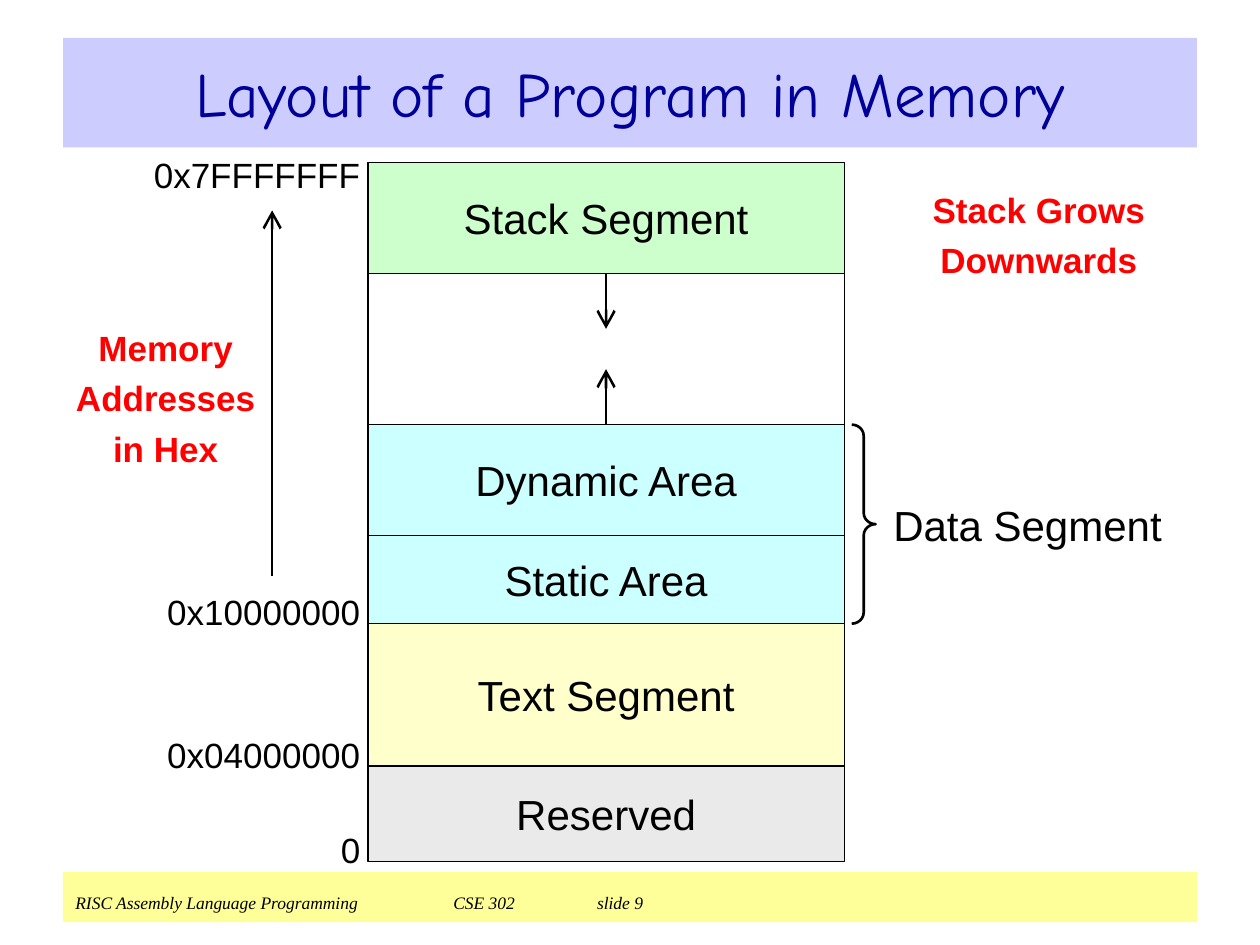
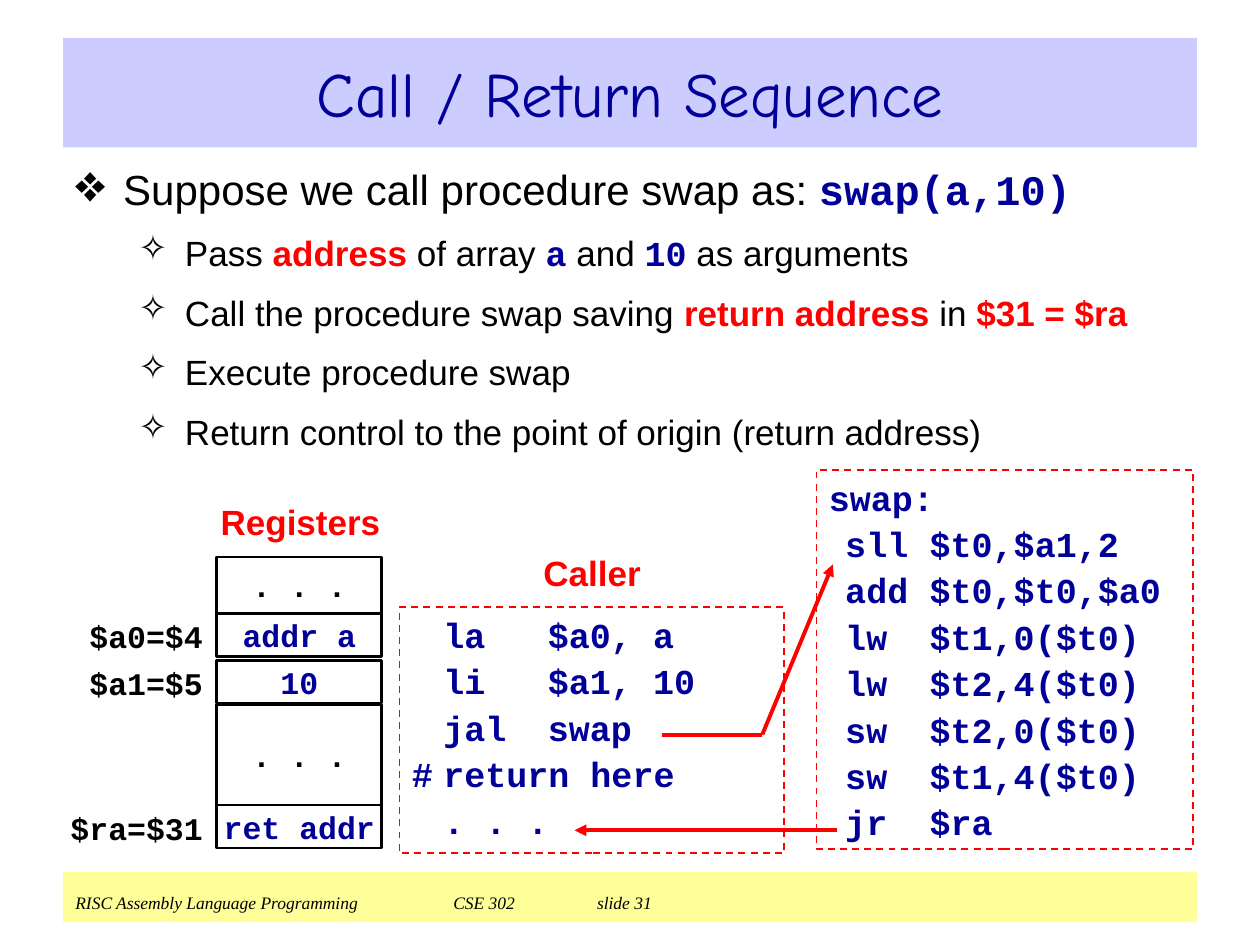
from typing import NamedTuple, Optional

from lxml import etree
from pptx import Presentation
from pptx.dml.color import RGBColor
from pptx.enum.dml import MSO_LINE
from pptx.enum.shapes import MSO_CONNECTOR, MSO_SHAPE
from pptx.enum.text import MSO_ANCHOR, MSO_AUTO_SIZE, PP_ALIGN
from pptx.oxml.ns import qn
from pptx.util import Inches, Pt

RECTANGLE, BRACE = MSO_SHAPE.RECTANGLE, MSO_SHAPE.RIGHT_BRACE
STRAIGHT = MSO_CONNECTOR.STRAIGHT
LEFT, CENTER, RIGHT = PP_ALIGN.LEFT, PP_ALIGN.CENTER, PP_ALIGN.RIGHT
TOP, MIDDLE, BOTTOM = MSO_ANCHOR.TOP, MSO_ANCHOR.MIDDLE, MSO_ANCHOR.BOTTOM
DASH = MSO_LINE.DASH

BLACK = RGBColor(0x00, 0x00, 0x00)
RED = RGBColor(0xFF, 0x00, 0x00)
NAVY = RGBColor(0x00, 0x00, 0x99)
WHITE = RGBColor(0xFF, 0xFF, 0xFF)
LAVENDER = RGBColor(0xCC, 0xCC, 0xFF)
YELLOW = RGBColor(0xFF, 0xFF, 0x99)
GREEN = RGBColor(0xCC, 0xFF, 0xCC)
CYAN = RGBColor(0xCC, 0xFF, 0xFF)
CREAM = RGBColor(0xFF, 0xFF, 0xCC)
GRAY = RGBColor(0xEA, 0xEA, 0xEA)

# The page is a grid of 100 columns by 75 rows
COLUMNS, ROWS = 100, 75
CELL = Inches(0.1)


class Area(NamedTuple):
    left: float
    top: float
    width: float
    height: float


class Style(NamedTuple):
    size: float
    color: RGBColor = BLACK
    font: str = "Arial"
    bold: bool = False
    italic: bool = False


class Outline(NamedTuple):
    color: RGBColor
    width: float
    dash: Optional[MSO_LINE] = None


class Layout(NamedTuple):
    align: PP_ALIGN = CENTER
    anchor: MSO_ANCHOR = MIDDLE
    margins: tuple = (0, 0, 0, 0)  # left, top, right, bottom in cells
    before: float = 0
    spacing: float = 1.0
    tabs: tuple = ()


class Segment(NamedTuple):
    label: str
    height: float
    fill: Optional[RGBColor]
    address: str = ""


class Register(NamedTuple):
    value: str
    top: float
    height: float
    color: RGBColor = NAVY
    name: str = ""


TITLE = Style(36, NAVY, "Comic Neue")
FOOTER = Style(10, font="Times New Roman", italic=True)
LABEL, ADDRESS, ITEM = Style(24), Style(20), Style(20)
NOTE = Style(20, RED, bold=True)
CODE = Style(20, NAVY, "Courier New", True)
CELL_TEXT = Style(18, NAVY, "Courier New", True)
MARGINS = (1, 0.5, 1, 0.5)
TITLE_AREA = Area(5, 3, 90, 8.7)
FOOTER_AREA = Area(5, 69.2, 90, 4)
RED_DASH = Outline(RED, 1, DASH)


def cells(count: float) -> int:
    return round(count * CELL)


def format_run(run, style: Style) -> None:
    font = run.font
    font.size, font.name = Pt(style.size), style.font
    font.bold, font.italic = style.bold, style.italic
    font.color.rgb = style.color


def add_tabs(para, stops: tuple) -> None:
    tab_list = etree.SubElement(para._p.get_or_add_pPr(), qn("a:tabLst"))
    for stop in stops:
        etree.SubElement(tab_list, qn("a:tab"), pos=str(cells(stop)), algn="l")


def add_bullet(para, symbol: str, margin: float, hanging: float, percent: int) -> None:
    properties = para._p.get_or_add_pPr()
    properties.set("marL", str(cells(margin)))
    properties.set("indent", str(-cells(hanging)))
    etree.SubElement(properties, qn("a:buSzPct"), val=str(percent * 1000))
    etree.SubElement(properties, qn("a:buChar"), char=symbol)


def arrange(frame, layout: Layout) -> None:
    frame.word_wrap, frame.auto_size = True, MSO_AUTO_SIZE.NONE
    frame.vertical_anchor = layout.anchor
    (frame.margin_left, frame.margin_top,
     frame.margin_right, frame.margin_bottom) = map(cells, layout.margins)


def write(frame, text: str, style: Style, layout: Layout) -> None:
    arrange(frame, layout)
    frame.text = text
    for para in frame.paragraphs:
        para.alignment = layout.align
        para.space_before = Pt(layout.before)
        para.line_spacing = layout.spacing
        if layout.tabs:
            add_tabs(para, layout.tabs)
        for run in para.runs:
            format_run(run, style)


def add_text(page, area: Area, text: str, style: Style, layout: Layout = Layout()) -> None:
    box = page.shapes.add_textbox(*map(cells, area))
    write(box.text_frame, text, style, layout)


def add_figure(page, kind: MSO_SHAPE, area: Area, fill: Optional[RGBColor] = None,
               outline: Optional[Outline] = None):
    box = page.shapes.add_shape(kind, *map(cells, area))
    box.shadow.inherit = False
    if fill is None:
        box.fill.background()
    else:
        box.fill.solid()
        box.fill.fore_color.rgb = fill
    if outline is None:
        box.line.fill.background()
    else:
        box.line.color.rgb, box.line.width = outline.color, Pt(outline.width)
        if outline.dash is not None:
            box.line.dash_style = outline.dash
    return box


def add_line(page, start: tuple, end: tuple, outline: Outline, head: str = "") -> None:
    line = page.shapes.add_connector(STRAIGHT, *map(cells, (*start, *end)))
    line.line.color.rgb, line.line.width = outline.color, Pt(outline.width)
    if head:
        size = "lg" if head == "arrow" else "med"
        etree.SubElement(line.line._get_or_add_ln(), qn("a:tailEnd"),
                         type=head, w=size, len=size)
    etree.SubElement(line._element.spPr, qn("a:effectLst"))


def add_page(deck, title: str, number: int):
    page = deck.slides.add_slide(deck.slide_layouts[5])
    # Title band
    heading = page.shapes.title
    heading.left, heading.top, heading.width, heading.height = map(cells, TITLE_AREA)
    heading.fill.solid()
    heading.fill.fore_color.rgb = LAVENDER
    write(heading.text_frame, title, TITLE, Layout(margins=MARGINS))
    # Footer band
    band = add_figure(page, RECTANGLE, FOOTER_AREA, YELLOW)
    write(band.text_frame,
          f"RISC Assembly Language Programming\tCSE 302\tslide {number}", FOOTER,
          Layout(LEFT, BOTTOM, (1, 0.5, 1, 0.75), tabs=(30, 41.4)))
    return page


SEGMENTS = (
    Segment("Stack Segment", 8.8, GREEN),
    Segment("", 12, None),
    Segment("Dynamic Area", 8.8, CYAN),
    Segment("Static Area", 7, CYAN, "0x10000000"),
    Segment("Text Segment", 11.3, CREAM, "0x04000000"),
    Segment("Reserved", 7.6, GRAY, "0"),
)


def build_memory_page(deck) -> None:
    page = add_page(deck, "Layout of a Program in Memory", 9)
    left, top, width = 29.2, 12.9, 37.8
    thin, thick = Outline(BLACK, 0.75), Outline(BLACK, 1.5)

    def add_address(text: str, row: float) -> None:
        add_text(page, Area(11.6, row, 17, 3.1), text, ADDRESS, Layout(RIGHT))

    # Memory segments with the address at the foot of each
    add_address("0x7FFFFFFF", top - 0.6)
    edges = [top]
    for segment in SEGMENTS:
        area = Area(left, edges[-1], width, segment.height)
        box = add_figure(page, RECTANGLE, area, segment.fill, thin)
        if segment.label:
            write(box.text_frame, segment.label, LABEL, Layout())
        edges.append(edges[-1] + segment.height)
        if segment.address:
            add_address(segment.address, edges[-1] - 2.5)

    # Growth of stack and heap into the free gap
    middle, reach = left + width / 2, 4.4
    add_line(page, (middle, edges[1]), (middle, edges[1] + reach), thick, "arrow")
    add_line(page, (middle, edges[2]), (middle, edges[2] - reach), thick, "arrow")
    add_line(page, (21.6, 45.7), (21.6, 16.7), thick, "arrow")

    # Data segment brace
    data_height = edges[4] - edges[2]
    brace = add_figure(page, BRACE, Area(67.6, edges[2], 1.9, data_height), outline=thick)
    brace.adjustments[0], brace.adjustments[1] = 0.47, 0.5
    add_text(page, Area(70.2, edges[2], 22.7, data_height), "Data Segment", LABEL)

    # Side notes
    loose = Layout(spacing=1.2)
    add_text(page, Area(5.3, 24.3, 15.7, 13.9), "Memory\nAddresses\nin Hex", NOTE, loose)
    add_text(page, Area(73.3, 13.6, 18.3, 9.4), "Stack Grows\nDownwards", NOTE, loose)


BULLETS = (
    (("Suppose we call procedure swap as: ", LABEL),
     ("swap(a,10)", CODE._replace(size=24))),
    (("Pass ", ITEM), ("address", NOTE), (" of array ", ITEM), ("a", CODE),
     (" and ", ITEM), ("10", CODE), (" as arguments", ITEM)),
    (("Call the procedure swap saving ", ITEM), ("return address", NOTE),
     (" in ", ITEM), ("$31 = $ra", NOTE)),
    (("Execute procedure swap", ITEM),),
    (("Return control to the point of origin (return address)", ITEM),),
)
REGISTERS = (
    Register(". . .", 44.2, 4.5, BLACK),
    Register("addr a", 48.7, 3.4, name="$a0=$4"),
    Register("10", 52.4, 3.4, name="$a1=$5"),
    Register(". . .", 55.9, 8, BLACK),
    Register("ret addr", 63.9, 3.4, name="$ra=$31"),
)
SWAP_CODE = (
    ("swap:",),
    ("", "sll", "$t0,$a1,2"), ("", "add", "$t0,$t0,$a0"),
    ("", "lw", "$t1,0($t0)"), ("", "lw", "$t2,4($t0)"),
    ("", "sw", "$t2,0($t0)"), ("", "sw", "$t1,4($t0)"),
    ("", "jr", "$ra"),
)
CALLER_CODE = (
    ("", "la", "$a0, a"), ("", "li", "$a1, 10"), ("", "jal", "swap"),
    ("#", "return here"), ("", ". . ."),
)


def add_code(page, area: Area, lines: tuple, tabs: tuple) -> None:
    box = add_figure(page, RECTANGLE, area, WHITE, RED_DASH)
    text = "\n".join("\t".join(line) for line in lines)
    write(box.text_frame, text, CODE, Layout(LEFT, TOP, MARGINS, before=2.5, tabs=tabs))


def build_call_page(deck) -> None:
    page = add_page(deck, "Call / Return Sequence", 31)

    # Bulleted steps
    frame = page.shapes.add_textbox(*map(cells, Area(5, 12.5, 90, 25))).text_frame
    arrange(frame, Layout(anchor=TOP, margins=MARGINS))
    for index, spans in enumerate(BULLETS):
        para = frame.add_paragraph() if index else frame.paragraphs[0]
        if index:
            para.space_before = Pt(10)
            add_bullet(para, "✧", 8.7, 3.7, 100)
        else:
            add_bullet(para, "❖", 3.8, 3.8, 125)
        for text, style in spans:
            span = para.add_run()
            span.text = text
            format_run(span, style)

    # Code of both procedures
    add_code(page, Area(64.8, 37.3, 29.9, 30.1), SWAP_CODE, (1.3, 8))
    add_code(page, Area(31.7, 48.2, 30.5, 19.5), CALLER_CODE, (2.5, 10.8))
    add_text(page, Area(41.5, 43.2, 11, 4.4), "Caller", NOTE)

    # Registers
    add_text(page, Area(16.6, 39.2, 14.5, 4.4), "Registers", NOTE)
    for register in REGISTERS:
        area = Area(17.2, register.top, 13.1, register.height)
        box = add_figure(page, RECTANGLE, area, WHITE, Outline(BLACK, 1.5))
        write(box.text_frame, register.value,
              CELL_TEXT._replace(color=register.color), Layout())
        if register.name:
            add_text(page, Area(4.1, register.top + 0.1, 12, register.height),
                     register.name, CELL_TEXT._replace(color=BLACK), Layout(RIGHT))

    # Call and return arrows
    red_line = Outline(RED, 2.25)
    add_line(page, (52.5, 58.3), (60.5, 58.3), red_line)
    add_line(page, (60.5, 58.3), (66.1, 44.8), red_line, "triangle")
    add_line(page, (66.4, 65.9), (45.6, 65.9), red_line, "triangle")


def main() -> None:
    deck = Presentation()
    deck.slide_width, deck.slide_height = cells(COLUMNS), cells(ROWS)
    build_memory_page(deck)
    build_call_page(deck)
    deck.save("out.pptx")


if __name__ == "__main__":
    main()
